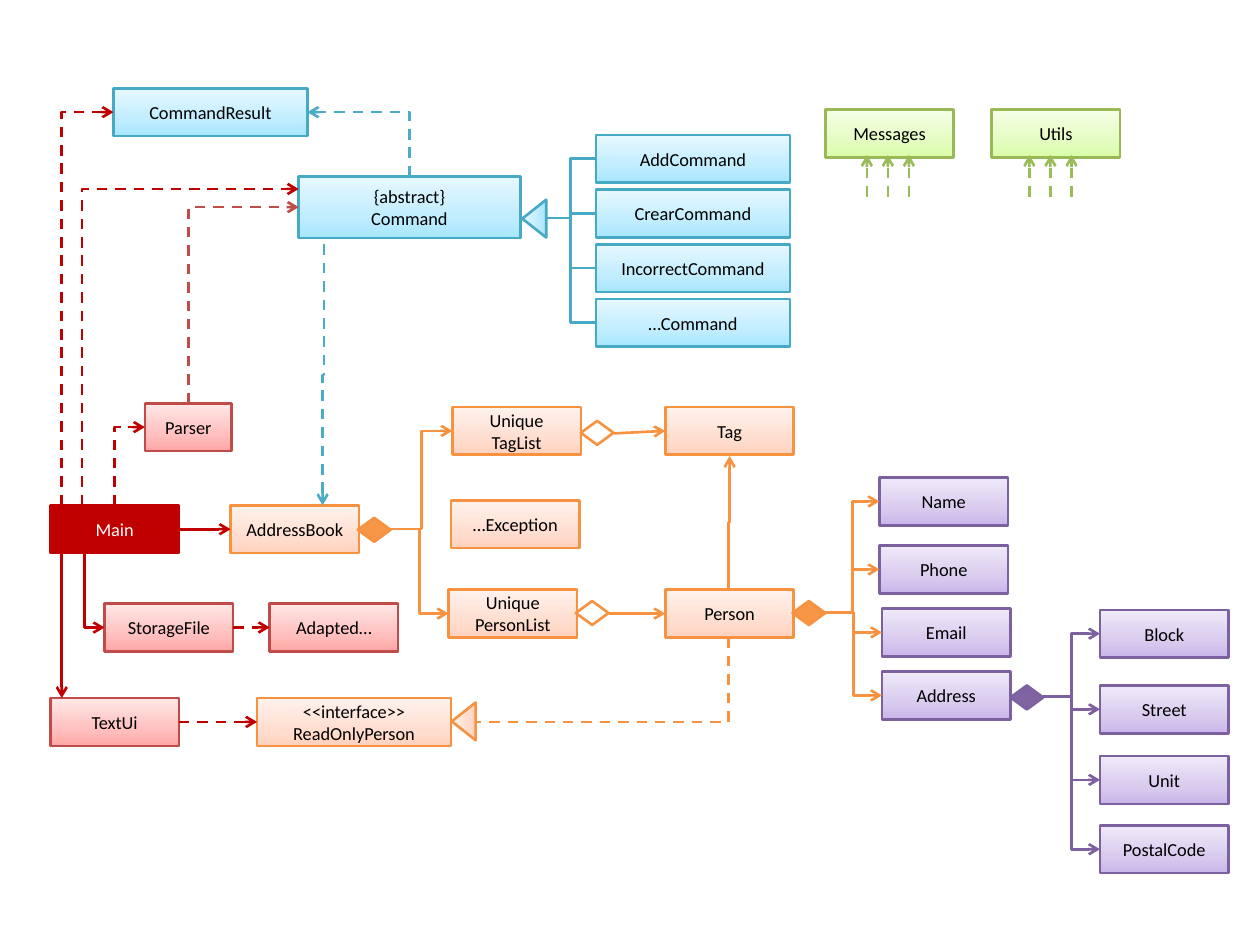
from copy import deepcopy
from dataclasses import dataclass
from enum import Enum
from typing import NamedTuple, Optional

from lxml.etree import SubElement
from pptx import Presentation
from pptx.dml.color import RGBColor
from pptx.enum.dml import MSO_LINE
from pptx.enum.shapes import MSO_CONNECTOR, MSO_SHAPE
from pptx.enum.text import MSO_ANCHOR, PP_ALIGN
from pptx.oxml.ns import qn
from pptx.util import Inches, Pt

# The slide is a grid of 1000 columns by 750 rows
COLUMNS, ROWS = 1000, 750
CELL = Inches(10) // COLUMNS


class Palette(NamedTuple):
    line: str
    stops: tuple[str, ...]
    text: str = "000000"


@dataclass(frozen=True)
class Theme:
    red = Palette("BF4C48", ("FFA6A5", "FFC0BF", "FFE7E7"))
    main = Palette("C00000", ("C00000",), "FFFFFF")
    orange = Palette("F69240", ("FFD2BD", "FFDED0", "FFF2ED"))
    purple = Palette("7D60A0", ("C9B5E8", "D8CBEE", "F0EAF9"))
    blue = Palette("46AAC5", ("A7E6FF", "C1EDFF", "E7F8FF"))
    green = Palette("98B955", ("DAFDA7", "E4FCC2", "F5FFE7"))
    orange_mark, purple_mark = "F79646", "8064A2"
    blue_link, green_link = "4BACC6", "9BBB59"
    stop_positions = (0, 0.35, 1)
    font, text_size, line_width = "Calibri", Pt(10.5), Pt(1.5)


THEME = Theme()


class Box(NamedTuple):
    text: str
    left: float
    top: float
    palette: Palette
    width: float = 102
    height: float = 38

    def at(self, across: float, down: float) -> tuple[float, float]:
        """Point at a share of the box's width and height."""
        return self.left + across * self.width, self.top + down * self.height


class Route(Enum):
    STRAIGHT = "line"
    ACROSS = "bentConnector3"   # across, down, across
    DOWN = "bentConnector3 "    # down, across, down
    CORNER = "bentConnector2"   # down, then across


class Link(NamedTuple):
    begin: tuple[float, float]
    end: tuple[float, float]
    color: str
    route: Route = Route.STRAIGHT
    dashed: bool = False
    arrow: bool = True


class Mark(NamedTuple):
    kind: MSO_SHAPE
    left: float
    top: float
    line: str
    fill: tuple[str, ...] = ()
    width: float = 26
    height: float = 19
    rotation: int = 0


def apply(target: object, values: dict) -> None:
    for name, value in values.items():
        setattr(target, name, value)


def cells(*lengths: float) -> list[int]:
    return [round(length * CELL) for length in lengths]


def paint(shape, line: str, colors: tuple[str, ...]) -> None:
    shape.shadow.inherit = False
    shape.line.color.rgb = RGBColor.from_string(line)
    shape.line.width = THEME.line_width
    if not colors:
        shape.fill.background()
    elif len(colors) == 1:
        shape.fill.solid()
        shape.fill.fore_color.rgb = RGBColor.from_string(colors[0])
    else:
        shape.fill.gradient()
        shape.fill.gradient_angle = 90
        stop_list = next(shape._element.spPr.iter(qn("a:gsLst")))
        stop_list.append(deepcopy(stop_list[-1]))
        for stop, color, position in zip(shape.fill.gradient_stops, colors, THEME.stop_positions):
            stop.color.rgb = RGBColor.from_string(color)
            stop.position = position


def draw_box(slide, box: Box) -> None:
    shape = slide.shapes.add_shape(
        MSO_SHAPE.RECTANGLE, *cells(box.left, box.top, box.width, box.height))
    paint(shape, box.palette.line, box.palette.stops)
    apply(shape.text_frame, {"text": box.text, "word_wrap": True,
                             "vertical_anchor": MSO_ANCHOR.MIDDLE})
    for paragraph in shape.text_frame.paragraphs:
        paragraph.alignment = PP_ALIGN.CENTER
        for run in paragraph.runs:
            apply(run.font, {"name": THEME.font, "size": THEME.text_size})
            run.font.color.rgb = RGBColor.from_string(box.palette.text)


def draw_mark(slide, mark: Mark) -> None:
    shape = slide.shapes.add_shape(
        mark.kind, *cells(mark.left, mark.top, mark.width, mark.height))
    shape.rotation = mark.rotation
    paint(shape, mark.line, mark.fill)


def draw_link(slide, link: Link) -> None:
    (x1, y1), (x2, y2) = link.begin, link.end
    turned = link.route in (Route.DOWN, Route.CORNER)
    if turned:  # lay the link out across, then turn it a quarter about its centre
        middle_x, middle_y = (x1 + x2) / 2, (y1 + y2) / 2
        half_x, half_y = (y2 - y1) / 2, (x1 - x2) / 2
        x1, y1 = middle_x - half_x, middle_y - half_y
        x2, y2 = middle_x + half_x, middle_y + half_y
    kind = MSO_CONNECTOR.STRAIGHT if link.route is Route.STRAIGHT else MSO_CONNECTOR.ELBOW
    connector = slide.shapes.add_connector(kind, *cells(x1, y1, x2, y2))
    properties = connector._element.spPr
    properties.find(qn("a:prstGeom")).set("prst", link.route.value.strip())
    if turned:
        properties.find(qn("a:xfrm")).set("rot", "5400000")
    connector.line.color.rgb = RGBColor.from_string(link.color)
    connector.line.width = THEME.line_width
    if link.dashed:
        connector.line.dash_style = MSO_LINE.DASH
    if link.arrow:
        SubElement(properties.find(qn("a:ln")), qn("a:tailEnd"), type="arrow")
    SubElement(properties, qn("a:effectLst"))


def fan(origin: tuple[float, float], targets: list[Box], color: str, arrow: bool = True) -> list[Link]:
    return [Link(origin, target.at(0, 0.5), color, Route.ACROSS, arrow=arrow) for target in targets]


# Classes
main = Box("Main", 40, 401, THEME.main)
text_ui = Box("TextUi", 40, 554, THEME.red)
parser = Box("Parser", 115, 320, THEME.red, 69)
storage = Box("StorageFile", 83, 479, THEME.red)
adapted = Box("Adapted…", 214, 479, THEME.red)
address_book = Box("AddressBook", 183, 401, THEME.orange)
tag_list = Box("Unique\vTagList", 359, 323, THEME.orange)
person_list = Box("Unique\vPersonList", 356, 468, THEME.orange)
exception = Box("…Exception", 358, 397, THEME.orange)
tag = Box("Tag", 528, 323, THEME.orange)
person = Box("Person", 528, 468, THEME.orange)
read_only = Box("<<interface>>\nReadOnlyPerson", 204, 554, THEME.orange, 154)
result = Box("CommandResult", 90, 70, THEME.blue, 154)
command = Box("{abstract}\vCommand", 237, 140, THEME.blue, 176, 49)
commands = [Box(name, 473, 107 + 43.4 * row, THEME.blue, 154) for row, name in enumerate(
    ("AddCommand", "CrearCommand", "IncorrectCommand", "…Command"))]
fields = [Box(name, left, top, THEME.purple) for name, left, top in (
    ("Name", 698, 379), ("Phone", 698, 433), ("Email", 700, 483), ("Address", 700, 533))]
address_parts = [Box(name, 873, top, THEME.purple) for name, top in (
    ("Block", 484), ("Street", 544), ("Unit", 600), ("PostalCode", 655))]
messages = Box("Messages", 655, 87, THEME.green)
utils = Box("Utils", 787, 87, THEME.green)
boxes = [main, text_ui, parser, storage, adapted, address_book, tag_list, person_list, exception,
         tag, person, read_only, result, command, *commands, *fields, *address_parts, messages, utils]

# Links
RED, ORANGE, PURPLE, BLUE = (p.line for p in (THEME.main, THEME.orange, THEME.purple, THEME.blue))
links = [
    Link((49, 439), (49, 554), RED, Route.DOWN),
    Link((91, 401), parser.at(0, 0.5), RED, Route.CORNER, True),
    Link((67, 440), storage.at(0, 0.5), RED, Route.CORNER),
    Link((65, 401), (237, 150), RED, Route.CORNER, True),
    Link((49, 401), result.at(0, 0.5), RED, Route.CORNER, True),
    Link(main.at(1, 0.5), address_book.at(0, 0.5), RED),
    Link(text_ui.at(1, 0.5), read_only.at(0, 0.5), RED, Route.ACROSS, True),
    Link(storage.at(1, 0.5), adapted.at(0, 0.5), RED, Route.ACROSS, True),
    Link(parser.at(0.5, 0), command.at(0, 0.5), THEME.red.line, Route.CORNER, True),
    Link((257, 194), (256, 401), THEME.blue_link, Route.DOWN, True),
    Link(command.at(0.5, 0), result.at(1, 0.5), THEME.blue_link, Route.CORNER, True),
    Link((578, 468), (579, 362), ORANGE, Route.DOWN),
    Link((487, 344), tag.at(0, 0.5), ORANGE),
    Link((483, 487), person.at(0, 0.5), ORANGE),
    Link((578, 506), (377, 573), ORANGE, Route.CORNER, True, False),
    *fan((310, 420), [tag_list, person_list], ORANGE),
    *fan((655, 486), fields, ORANGE),
    *fan((828, 553), address_parts, PURPLE),
    *fan((433, 173), commands, BLUE, False),
    *(Link((box.left + offset + 16.7 * step, 156), (box.left + offset + 16.7 * step, 123),
           THEME.green_link, dashed=True)
      for box, offset in ((messages, 33), (utils, 30)) for step in range(3)),
]

# Aggregation diamonds and inheritance triangles
DIAMOND, TRIANGLE = MSO_SHAPE.FLOWCHART_DECISION, MSO_SHAPE.ISOSCELES_TRIANGLE
marks = [
    Mark(DIAMOND, 629, 477, ORANGE, (THEME.orange_mark,)),
    Mark(DIAMOND, 284, 411, ORANGE, (THEME.orange_mark,)),
    Mark(DIAMOND, 802, 544, PURPLE, (THEME.purple_mark,)),
    Mark(DIAMOND, 461, 334, ORANGE),
    Mark(DIAMOND, 457, 477, ORANGE),
    Mark(TRIANGLE, 353, 563, ORANGE, THEME.orange.stops, 30, 19, 270),
    Mark(TRIANGLE, 409, 164, BLUE, THEME.blue.stops, 30, 19, 270),
]

presentation = Presentation()
apply(presentation, {"slide_width": COLUMNS * CELL, "slide_height": ROWS * CELL})
slide = presentation.slides.add_slide(presentation.slide_layouts[6])
for draw, items in ((draw_box, boxes), (draw_link, links), (draw_mark, marks)):
    for item in items:
        draw(slide, item)
presentation.save("out.pptx")
